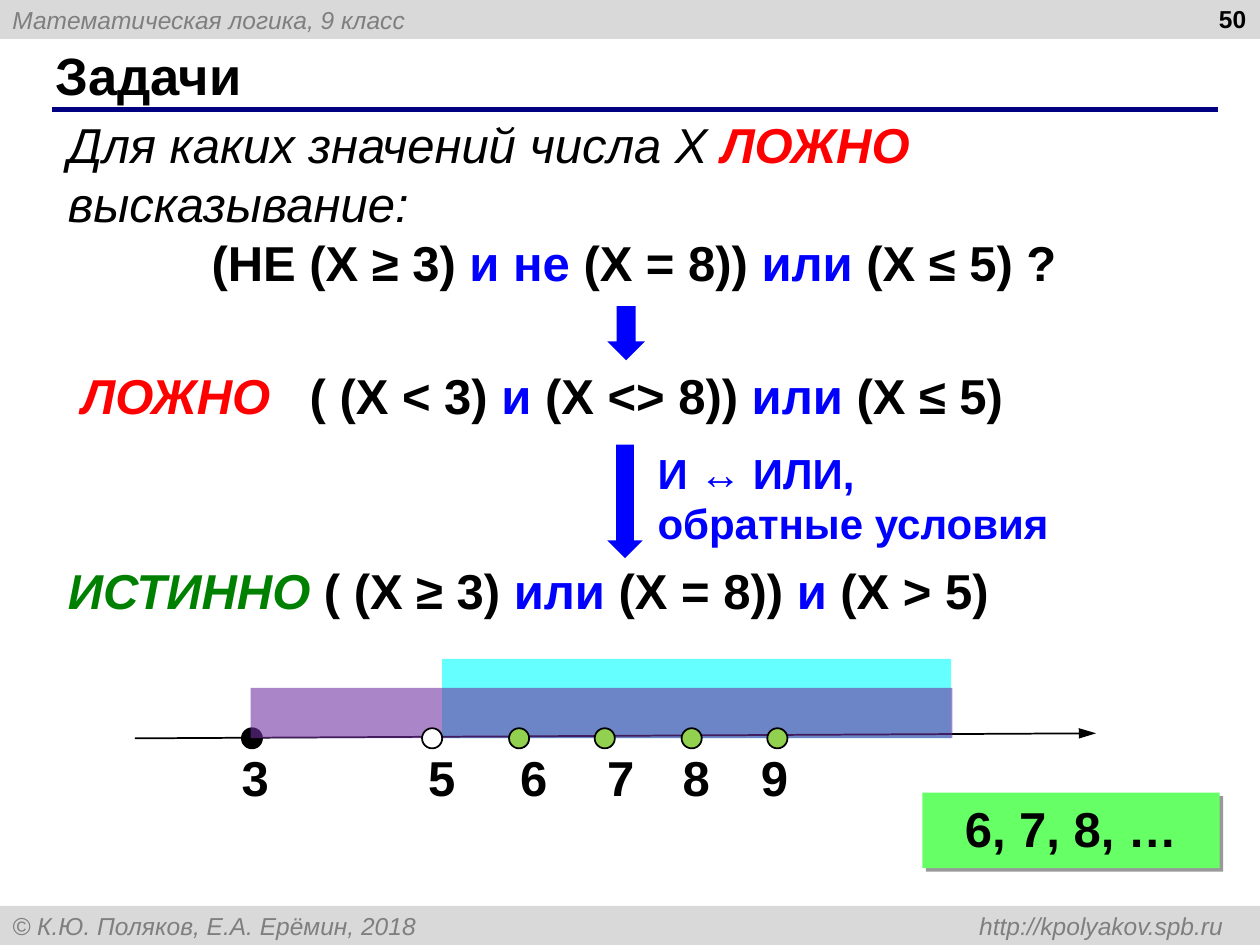
from typing import NamedTuple

from lxml.etree import SubElement
from pptx import Presentation
from pptx.dml.color import RGBColor
from pptx.enum.shapes import MSO_CONNECTOR as Link, MSO_SHAPE as Kind
from pptx.enum.text import MSO_ANCHOR as Anchor, PP_ALIGN as Align
from pptx.oxml.ns import qn
from pptx.util import Inches, Pt

HUES = {
    "black": "000000", "white": "FFFFFF", "red": "FF0000", "blue": "0000FF",
    "green": "008000", "navy": "000080", "band": "D9D9D9", "gray": "7F7F7F",
    "cyan": "66FFFF", "violet": "7030A0", "lime": "92D050", "mint": "66FF66",
}


class Run(NamedTuple):
    text: str
    hue: str = "black"
    bold: bool = True
    slant: bool = False


class Mark(NamedTuple):
    label: str
    dot: float
    left: float
    hue: str


def color(name: str) -> RGBColor:
    return RGBColor.from_string(HUES[name])


def write(shape, lines: list, size: int = 28, align=Align.LEFT,
          anchor=Anchor.TOP, wrap: bool = True, tab=None) -> None:
    """Fill a shape with lines, each a list of runs."""
    frame = shape.text_frame
    frame.word_wrap = wrap
    frame.vertical_anchor = anchor
    for i, line in enumerate(lines):
        par = frame.add_paragraph() if i else frame.paragraphs[0]
        # The last line takes the alignment, any earlier one is flush left
        par.alignment = align if i == len(lines) - 1 else Align.LEFT
        if tab:
            stops = SubElement(par._p.get_or_add_pPr(), qn("a:tabLst"))
            SubElement(stops, qn("a:tab"), pos=str(Inches(tab[0])), algn=tab[1])
        for part in line:
            run = par.add_run()
            run.text = part.text
            font = run.font
            font.name, font.size = "Arial", Pt(size)
            font.bold, font.italic = part.bold, part.slant
            font.color.rgb = color(part.hue)


def draw(kind, box: tuple, hue: str, edge: bool = False):
    shape = slide.shapes.add_shape(kind, *map(Inches, box))
    shape.shadow.inherit = False
    shape.fill.solid()
    shape.fill.fore_color.rgb = color(hue)
    if edge:
        shape.line.color.rgb = color("black")
        shape.line.width = Pt(1)
    else:
        shape.line.fill.background()
    return shape


def note(box: tuple, lines: list, **opts) -> None:
    write(slide.shapes.add_textbox(*map(Inches, box)), lines, **opts)


def rule(ends: tuple, hue: str, width: float):
    line = slide.shapes.add_connector(Link.STRAIGHT, *map(Inches, ends))
    line.line.color.rgb = color(hue)
    line.line.width = Pt(width)
    SubElement(line._element.spPr, qn("a:effectLst"))
    return line


def point(mark: Mark) -> None:
    draw(Kind.OVAL, (mark.dot, 5.78, 0.16, 0.16), mark.hue, edge=True)
    note((mark.left, 5.88, 0.41, 0.57), [[Run(mark.label)]], wrap=False)


deck = Presentation()
deck.slide_width, deck.slide_height = Inches(10), Inches(7.5)
slide = deck.slides.add_slide(deck.slide_layouts[5])

# Header and footer bands
BANDS = [
    (0, "Математическая логика, 9 класс", None),
    (7.19, "© К.Ю. Поляков, Е.А. Ерёмин, 2018 \thttp://kpolyakov.spb.ru",
     (9.61, "r")),
]
for top, text, tab in BANDS:
    band = draw(Kind.RECTANGLE, (0, top, 10, 0.31), "band")
    write(band, [[Run(text, "gray", False, True)]], size=14,
          anchor=Anchor.MIDDLE, tab=tab)
note((7.66, -0.02, 2.33, 0.52), [[Run("50")]], size=14, align=Align.RIGHT)

# Title
title = slide.shapes.title
title.left, title.top = Inches(0.34), Inches(0.33)
title.width, title.height = Inches(9.16), Inches(0.52)
write(title, [[Run("Задачи")]], size=30, anchor=Anchor.MIDDLE)
rule((0.41, 0.87, 9.67, 0.87), "navy", 3)

# Question and its two rewritten forms
note((0.44, 0.86, 9.29, 1.5), [
    [Run("Для каких значений числа X ", bold=False, slant=True),
     Run("ЛОЖНО", "red", slant=True),
     Run(" высказывание:", bold=False, slant=True)],
    [Run("(НЕ (X ≥ 3) "), Run("и не", "blue"), Run(" (X = 8)) "),
     Run("или", "blue"), Run(" (X ≤ 5) ? ")],
], align=Align.CENTER, anchor=Anchor.MIDDLE)
note((0.55, 2.85, 9.18, 0.57), [
    [Run("ЛОЖНО", "red", slant=True), Run("\t( (X < 3) "), Run("и", "blue"),
     Run(" (X <> 8)) "), Run("или", "blue"), Run(" (X ≤ 5)")],
], anchor=Anchor.MIDDLE, tab=(1.81, "l"))
note((0.44, 4.4, 9.29, 0.57), [
    [Run("ИСТИННО", "green", slant=True), Run(" ( (X ≥ 3) "),
     Run("или", "blue"), Run(" (X = 8)) "), Run("и", "blue"),
     Run(" (X > 5)")],
], anchor=Anchor.MIDDLE)

# Steps between the forms
for box in [(4.82, 2.43, 0.3, 0.43), (4.82, 3.53, 0.28, 0.9)]:
    draw(Kind.DOWN_ARROW, box, "blue")
note((5.12, 3.5, 3.31, 0.9),
     [[Run("И ↔ ИЛИ,", "blue")], [Run("обратные условия", "blue")]],
     size=24, wrap=False)

# Number line with the two ranges
draw(Kind.RECTANGLE, (3.51, 5.23, 4.04, 0.63), "cyan")
axis = rule((1.07, 5.86, 8.7, 5.82), "black", 1)
SubElement(axis.line._get_or_add_ln(), qn("a:tailEnd"),
           type="triangle", len="lg")
point(Mark("3", 1.92, 1.82, "black"))
span = draw(Kind.RECTANGLE, (1.99, 5.46, 5.57, 0.4), "violet")
tint = span._element.spPr.find(qn("a:solidFill"))[0]
SubElement(tint, qn("a:alpha"), val="59000")
MARKS = [
    Mark("5", 3.35, 3.3, "white"),
    Mark("6", 4.04, 4.03, "lime"),
    Mark("7", 4.72, 4.72, "lime"),
    Mark("8", 5.41, 5.32, "lime"),
    Mark("9", 6.09, 5.94, "lime"),
]
for mark in MARKS:
    point(mark)

# Answer with its shadow
reply = draw(Kind.RECTANGLE, (7.32, 6.29, 2.36, 0.6), "mint")
write(reply, [[Run("6, 7, 8, …")]], align=Align.CENTER)
glow = SubElement(reply._element.spPr.find(qn("a:effectLst")),
                  qn("a:outerShdw"), dist=str(Pt(3)), dir="2700000",
                  algn="tl", rotWithShape="0")
shade = SubElement(glow, qn("a:srgbClr"), val=HUES["black"])
SubElement(shade, qn("a:alpha"), val="40000")

deck.save("out.pptx")
